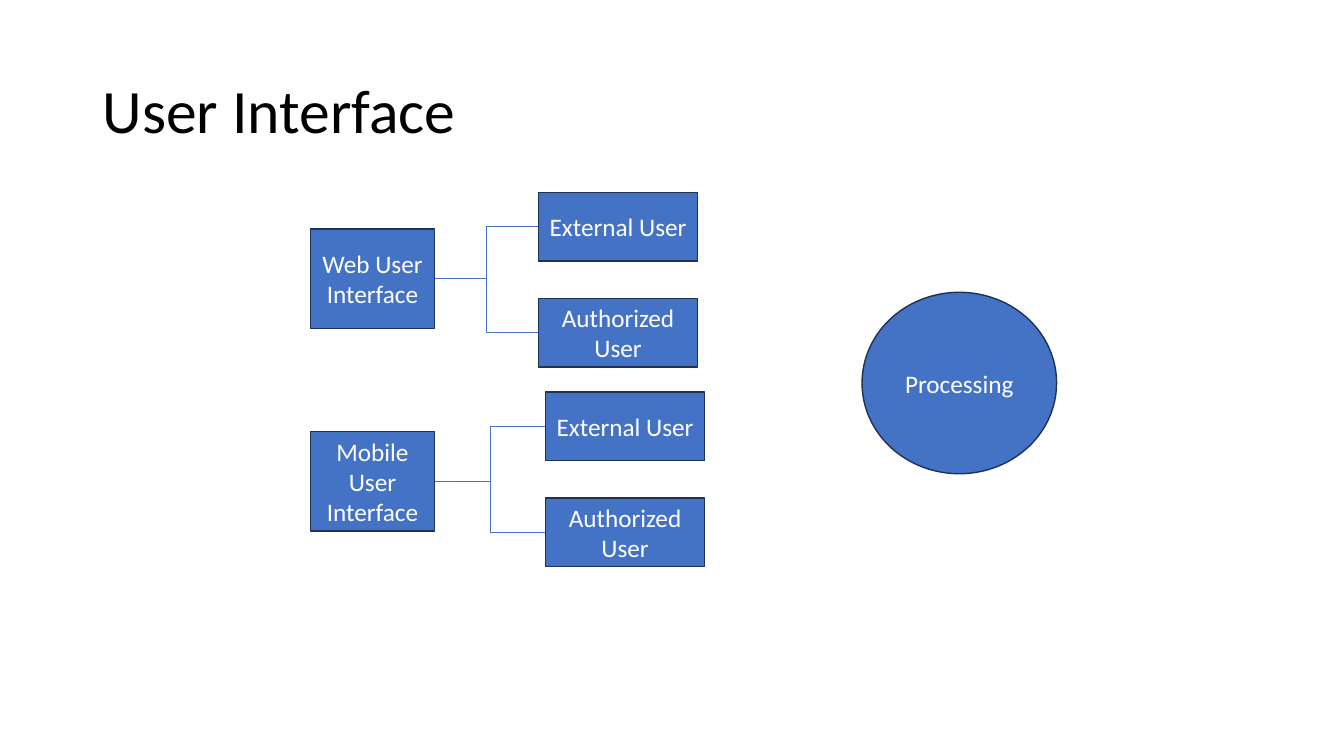
from pptx import Presentation
from pptx.dml.color import RGBColor
from pptx.enum.shapes import MSO_CONNECTOR, MSO_SHAPE
from pptx.enum.text import MSO_ANCHOR, PP_ALIGN
from pptx.oxml import parse_xml
from pptx.oxml.ns import nsdecls
from pptx.util import Inches, Pt

RECTANGLE, OVAL = MSO_SHAPE.RECTANGLE, MSO_SHAPE.OVAL
ELBOW = MSO_CONNECTOR.ELBOW
MIDDLE = MSO_ANCHOR.MIDDLE
LEFT, CENTER = PP_ALIGN.LEFT, PP_ALIGN.CENTER
LEFT_SIDE, RIGHT_SIDE = 1, 3
FONT = "Calibri"
BLUE, NAVY, WHITE, BLACK = "4472C4", "1E3256", "FFFFFF", "000000"
INTERFACE_LEFT, INTERFACE_SIZE = 3.08, (1.23, 0.99)
USER_SIZE, USER_STEP = (1.58, 0.68), 1.05
USERS = ("External User", "Authorized User")
INTERFACES = (
    ("Web User Interface", 2.27, 5.34, 1.91),
    ("Mobile User Interface", 4.28, 5.41, 3.89),
)


def color(value):
    """Return the colour for a hex string."""
    return RGBColor.from_string(value)


def write(shape, text, size, text_color, alignment):
    """Put one vertically centred paragraph into a shape."""
    frame = shape.text_frame
    frame.word_wrap = True
    frame.vertical_anchor = MIDDLE
    frame.text = text
    para = frame.paragraphs[0]
    para.alignment = alignment
    span = para.runs[0]
    span.font.name = FONT
    span.font.size = Pt(size)
    span.font.color.rgb = color(text_color)
    return para


def add_title(page, text):
    """Add the slide heading."""
    box = page.shapes.add_textbox(Inches(0.92), Inches(0.4), Inches(11.5), Inches(1.45))
    write(box, text, 44, BLACK, LEFT).line_spacing = 0.9


def add_node(page, kind, text, left, top, size):
    """Add a blue labelled shape."""
    width, height = size
    node = page.shapes.add_shape(kind, Inches(left), Inches(top), Inches(width), Inches(height))
    node.shadow.inherit = False
    node.fill.solid()
    node.fill.fore_color.rgb = color(BLUE)
    node.line.color.rgb = color(NAVY)
    node.line.width = Pt(1)
    write(node, text, 18, WHITE, CENTER)
    return node


def add_branch(page, source, target):
    """Join the right side of one node to the left side of another."""
    branch = page.shapes.add_connector(ELBOW, 0, 0, 0, 0)
    branch.begin_connect(source, RIGHT_SIDE)
    branch.end_connect(target, LEFT_SIDE)
    branch.line.color.rgb = color(BLUE)
    branch.line.width = Pt(0.5)
    branch._element.spPr.append(parse_xml(f"<a:effectLst {nsdecls('a')}/>"))


def add_interface(page, name, top, users_left, users_top):
    """Add an interface with a branch to each kind of user."""
    interface = add_node(page, RECTANGLE, name, INTERFACE_LEFT, top, INTERFACE_SIZE)
    for index, user in enumerate(USERS):
        user_top = users_top + index * USER_STEP
        user_node = add_node(page, RECTANGLE, user, users_left, user_top, USER_SIZE)
        add_branch(page, interface, user_node)


def main():
    """Build and save the slide."""
    deck = Presentation()
    deck.slide_width, deck.slide_height = Inches(13.33), Inches(7.5)
    page = deck.slides.add_slide(deck.slide_layouts[6])
    add_title(page, "User Interface")
    for interface in INTERFACES:
        add_interface(page, *interface)
    add_node(page, OVAL, "Processing", 8.55, 2.9, (1.93, 1.8))
    deck.save("out.pptx")


if __name__ == "__main__":
    main()
